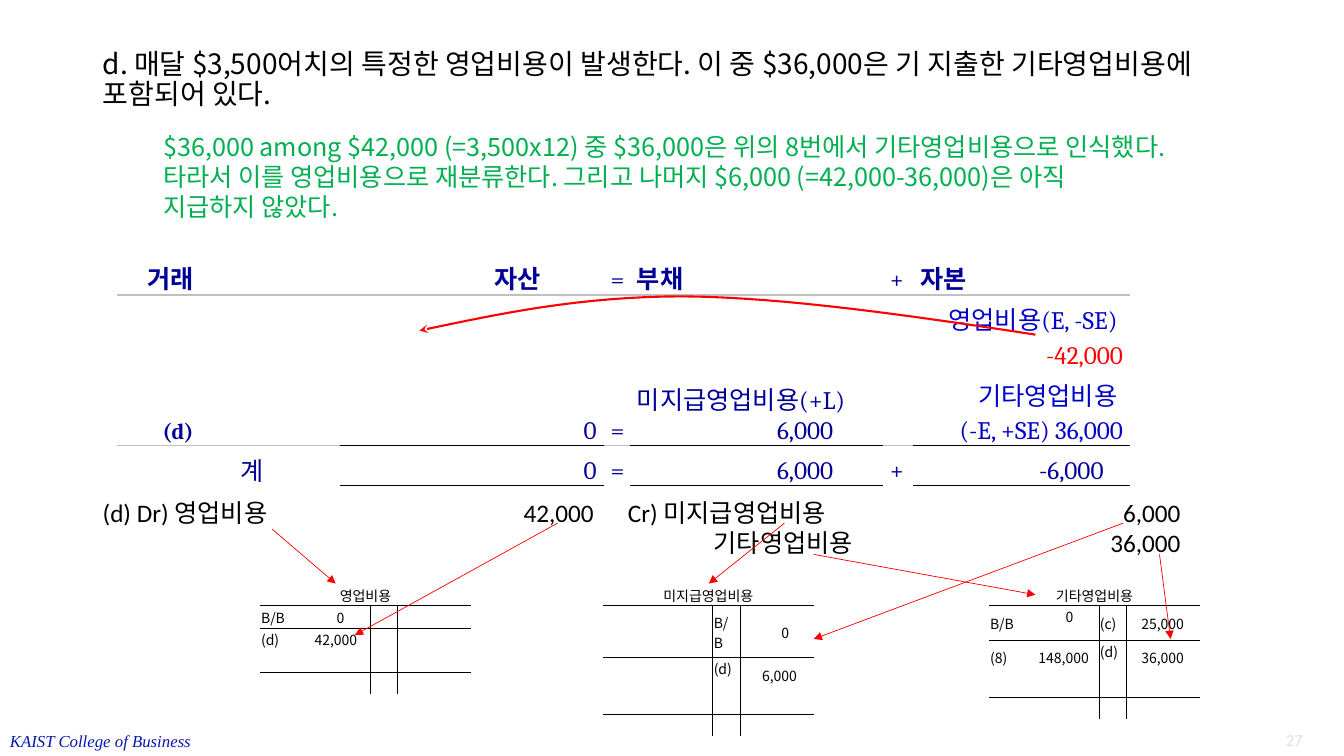
"""Build the operating expense adjustment slide with its journal entry and T-accounts."""
from dataclasses import dataclass

from lxml.etree import SubElement
from pptx import Presentation
from pptx.dml.color import RGBColor
from pptx.enum.shapes import MSO_CONNECTOR as Connector
from pptx.enum.text import MSO_ANCHOR as Anchor, PP_ALIGN as Align
from pptx.oxml.ns import qn
from pptx.util import Pt

PX = 9144
NOTO, CAMBRIA, CALIBRI, TIMES = "Noto Sans CJK KR", "Cambria", "Calibri", "Times New Roman"
COLORS = {"black": "000000", "white": "FFFFFF", "navy": "000099", "blue": "0000CC",
          "red": "FF0000", "green": "00B050", "rule": "C0C0C0", "school": "0915AF", "page": "E0E0E0"}
NO_STYLE = "{2D5ABB26-0587-4C30-8999-92F81FD0307C}"


@dataclass(frozen=True)
class Entry:
    row: int
    col: int
    text: str
    indent: int = 0
    align: Align = Align.LEFT
    spacing: float = 1.0
    color: str = "navy"
    bold: bool = False
    size: int = 18
    anchor: Anchor = Anchor.BOTTOM


@dataclass(frozen=True)
class Account:
    left: int
    title: str
    postings: tuple[tuple[int, int, str, int], ...]
    first_row: int = 22


def rgb(name: str) -> RGBColor:
    return RGBColor.from_string(COLORS[name])


def write_text(paragraph, text: str, *, size: int, font: str = NOTO, color: str = "black",
               bold: bool = False, italic: bool = False, align: Align = Align.LEFT,
               spacing: float = 1.0, indent: int = 0, tabs: tuple = ()) -> None:
    properties = paragraph._p.get_or_add_pPr()
    if indent:
        properties.set("marL", str(indent * PX))
        properties.set("indent", "0")
    if tabs:
        stops = SubElement(properties, qn("a:tabLst"))
        for position, side in tabs:
            SubElement(stops, qn("a:tab"), pos=str(position * PX), algn=side)
    paragraph.alignment = align
    paragraph.line_spacing = spacing
    run = paragraph.add_run()
    run.text = text
    run.font.size, run.font.bold, run.font.italic = Pt(size), bold, italic
    run.font.color.rgb = rgb(color)
    run.font.name = font
    SubElement(run._r.get_or_add_rPr(), qn("a:ea"), typeface=NOTO)


def add_frame(slide, left: int, top: int, width: int, height: int, anchor: Anchor = Anchor.TOP):
    frame = slide.shapes.add_textbox(left * PX, top * PX, width * PX, height * PX).text_frame
    frame.word_wrap = True
    frame.vertical_anchor = anchor
    return frame


def next_paragraph(frame):
    return frame.add_paragraph() if frame.text else frame.paragraphs[0]


def add_grid(slide, left: int, top: int, cols: list[int], rows: list[int]):
    table = slide.shapes.add_table(len(rows), len(cols), left * PX, top * PX,
                                   sum(cols) * PX, sum(rows) * PX).table
    table.first_row = table.horz_banding = False
    table._tbl.tblPr.find(qn("a:tableStyleId")).text = NO_STYLE
    for column, width in zip(table.columns, cols):
        column.width = width * PX
    for row, height in zip(table.rows, rows):
        row.height = height * PX
    return table


def finish_cells(table, borders: dict, insets: tuple, size: int, fill: str = "") -> None:
    for r, row in enumerate(table.rows):
        for c, cell in enumerate(row.cells):
            cell.margin_left, cell.margin_top, cell.margin_right, cell.margin_bottom = (
                inset * PX for inset in insets)
            properties = cell._tc.get_or_add_tcPr()
            for side in "LRTB":
                if (r, c, side) in borders:
                    color, width = borders[r, c, side]
                    line = SubElement(properties, qn(f"a:ln{side}"), w=str(Pt(width)))
                    solid = SubElement(line, qn("a:solidFill"))
                    SubElement(solid, qn("a:srgbClr"), val=COLORS[color])
            if fill:
                cell.fill.solid()
                cell.fill.fore_color.rgb = rgb(fill)
            else:
                cell.fill.background()
            if not cell.text_frame.text:
                SubElement(cell.text_frame.paragraphs[0]._p, qn("a:endParaRPr"), sz=str(size * 100))


def fill_entry(table, entry: Entry, font: str) -> None:
    cell = table.cell(entry.row, entry.col)
    cell.vertical_anchor = entry.anchor
    write_text(next_paragraph(cell.text_frame), entry.text, size=entry.size, font=font,
               color=entry.color, bold=entry.bold, align=entry.align,
               spacing=entry.spacing, indent=entry.indent)


def rule_below(row: int, cols, color: str, width: float) -> dict:
    return {(r, c, side): (color, width) for c in cols for r, side in ((row, "B"), (row + 1, "T"))}


def add_equation(slide) -> None:
    table = add_grid(slide, 116, 218, [65, 16, 16, 10, 112, 91, 64, 32, 75, 26, 251, 30, 215, 27, 16],
                     [33, 42, 149, 40, 32])
    spans = [[(1, 2), (3, 6)], [(0, 4), (6, 8), (13, 14)], [(0, 1), (2, 4), (5, 8), (13, 14)],
             [(0, 1), (2, 3), (5, 8), (13, 14)], [(0, 1), (2, 4), (5, 8), (13, 14)]]
    for row, pairs in enumerate(spans):
        for first, last in pairs:
            table.cell(row, first).merge(table.cell(row, last))
    right = {"align": Align.RIGHT, "spacing": 1.15}
    entries = [
        Entry(1, 0, "거래", 23, spacing=1.15, bold=True),
        Entry(1, 6, "자산", align=Align.CENTER, spacing=1.15, bold=True),
        Entry(1, 10, "부채", bold=True), Entry(1, 12, "자본", bold=True),
        Entry(2, 0, "(d)", bold=True, size=16, **right),
        Entry(2, 10, "미지급영업비용(+L)"),
        Entry(2, 12, "영업비용(E, -SE) ", color="blue", **right),
        Entry(2, 12, "-42,000", color="red", **right),
        Entry(2, 12, "기타영업비용 ", color="blue", **right),
        Entry(2, 12, "(-E, +SE) 36,000", color="blue", **right),
        Entry(3, 4, "계", 7, spacing=1.15), Entry(3, 12, "-6,000", 118),
        *(Entry(row, 9, "=") for row in (1, 2, 3)),
        *(Entry(row, 11, "+") for row in (1, 3)),
        *(Entry(row, 5, "0", **right) for row in (2, 3)),
        *(Entry(row, 10, "6,000", 139) for row in (2, 3)),
    ]
    for entry in entries:
        fill_entry(table, entry, CAMBRIA)
    borders = rule_below(1, range(13), "rule", 1.5) | rule_below(2, (5, 6, 7, 8, 10, 12), "black", 1)
    finish_cells(table, borders, (7, 0, 7, 0), 18, "white")


def add_account(slide, account: Account) -> None:
    table = add_grid(slide, account.left, 579, [36, 73, 27, 73], [22, account.first_row, 22, 22, 22])
    table.cell(0, 0).merge(table.cell(0, 3))
    small = {"color": "black", "size": 10}
    fill_entry(table, Entry(0, 0, account.title, align=Align.CENTER, anchor=Anchor.MIDDLE, **small), NOTO)
    for row, col, text, indent in account.postings:
        raised = account.first_row > 22 and text == "0"
        anchor = Anchor.TOP if raised else Anchor.MIDDLE
        fill_entry(table, Entry(row, col, text, indent, anchor=anchor, **small), NOTO)
    borders = rule_below(0, range(4), "black", 0.5) | rule_below(3, range(4), "black", 0.5)
    for row in range(1, 5):
        borders[row, 1, "R"] = borders[row, 2, "L"] = ("black", 0.5)
    finish_cells(table, borders, (1, 1, 1, 0), 10)


def style_arrow(arrow, width: float, head: str) -> None:
    arrow.line.color.rgb = rgb("red")
    arrow.line.width = Pt(width)
    SubElement(arrow.line._get_or_add_ln(), qn("a:tailEnd"), type=head)
    SubElement(arrow._element.spPr, qn("a:effectLst"))


def curve_points(controls: list[tuple[int, int]], steps: int = 16) -> list[tuple[int, int]]:
    weights = [((1 - t) ** 3, 3 * t * (1 - t) ** 2, 3 * t * t * (1 - t), t ** 3)
               for t in (i / steps for i in range(1, steps + 1))]
    return [tuple(round(PX * sum(w * point[axis] for w, point in zip(weight, controls)))
                  for axis in (0, 1)) for weight in weights]


def add_reclass_curve(slide) -> None:
    bends = [(1027, 332), (903, 313), (779, 295), (678, 294), (576, 294), (496, 311), (416, 328)]
    builder = slide.shapes.build_freeform(bends[0][0] * PX, bends[0][1] * PX)
    builder.add_line_segments(curve_points(bends[:4]) + curve_points(bends[3:]), close=False)
    curve = builder.convert_to_shape()
    curve.fill.background()
    style_arrow(curve, 1.5, "stealth")


def main() -> None:
    deck = Presentation()
    deck.slide_width, deck.slide_height = 1333 * PX, 750 * PX
    slide = deck.slides.add_slide(deck.slide_layouts[6])

    write_text(add_frame(slide, 0, 720, 220, 30).paragraphs[0], "KAIST College of Business",
               size=12, font=TIMES, color="school", italic=True)
    write_text(add_frame(slide, 1200, 719, 102, 30).paragraphs[0], "27",
               size=12, font=CALIBRI, color="page", align=Align.RIGHT)
    write_text(add_frame(slide, 92, 40, 1150, 80, Anchor.MIDDLE).paragraphs[0],
               "d. 매달 $3,500어치의 특정한 영업비용이 발생한다. 이 중 $36,000은 기 지출한 "
               "기타영업비용에 포함되어 있다.", size=20, spacing=0.9)
    add_equation(slide)
    explanation = add_frame(slide, 152, 125, 1080, 101)
    for sentence in ("$36,000 among $42,000 (=3,500x12) 중 $36,000은 위의 8번에서 기타영업비용으로 인식했다.",
                     "타라서 이를 영업비용으로 재분류한다. 그리고 나머지 $6,000 (=42,000-36,000)은 아직",
                     "지급하지 않았다."):
        write_text(next_paragraph(explanation), sentence, size=18, color="green")
    add_reclass_curve(slide)

    journal = add_frame(slide, 92, 488, 1140, 71)
    for posting, tabs in (
            ("(d) Dr) 영업비용\t42,000\tCr) 미지급영업비용\t6,000", ((487, "r"), (521, "l"), (1069, "r"))),
            ("\t기타영업비용\t36,000", ((606, "l"), (1069, "r")))):
        write_text(next_paragraph(journal), posting, size=18, font=CALIBRI, tabs=tabs)

    for account in (
            Account(258, "영업비용", ((1, 0, "B/B", 0), (1, 1, "0", 39), (2, 0, "(d)", 0), (2, 1, "42,000", 17))),
            Account(598, "미지급영업비용", ((1, 2, "B/B　", 0), (1, 3, "0", 40),
                                      (2, 2, "(d)　", 0), (2, 3, "6,000", 21))),
            Account(981, "기타영업비용", ((1, 0, "B/B", 0), (1, 1, "0", 39), (1, 2, "(c)", 0), (1, 3, "25,000", 14),
                                     (2, 0, "(8)", 0), (2, 1, "148,000", 12),
                                     (2, 2, "(d)　", 0), (2, 3, "36,000", 14)), 34)):
        add_account(slide, account)

    for ends in ((270, 525, 333, 579), (553, 519, 352, 630), (778, 519, 703, 579),
                 (1114, 519, 807, 634), (807, 550, 1027, 590), (1150, 550, 1161, 634)):
        style_arrow(slide.shapes.add_connector(Connector.STRAIGHT, *(end * PX for end in ends)), 0.5, "triangle")
    deck.save("out.pptx")


if __name__ == "__main__":
    main()
